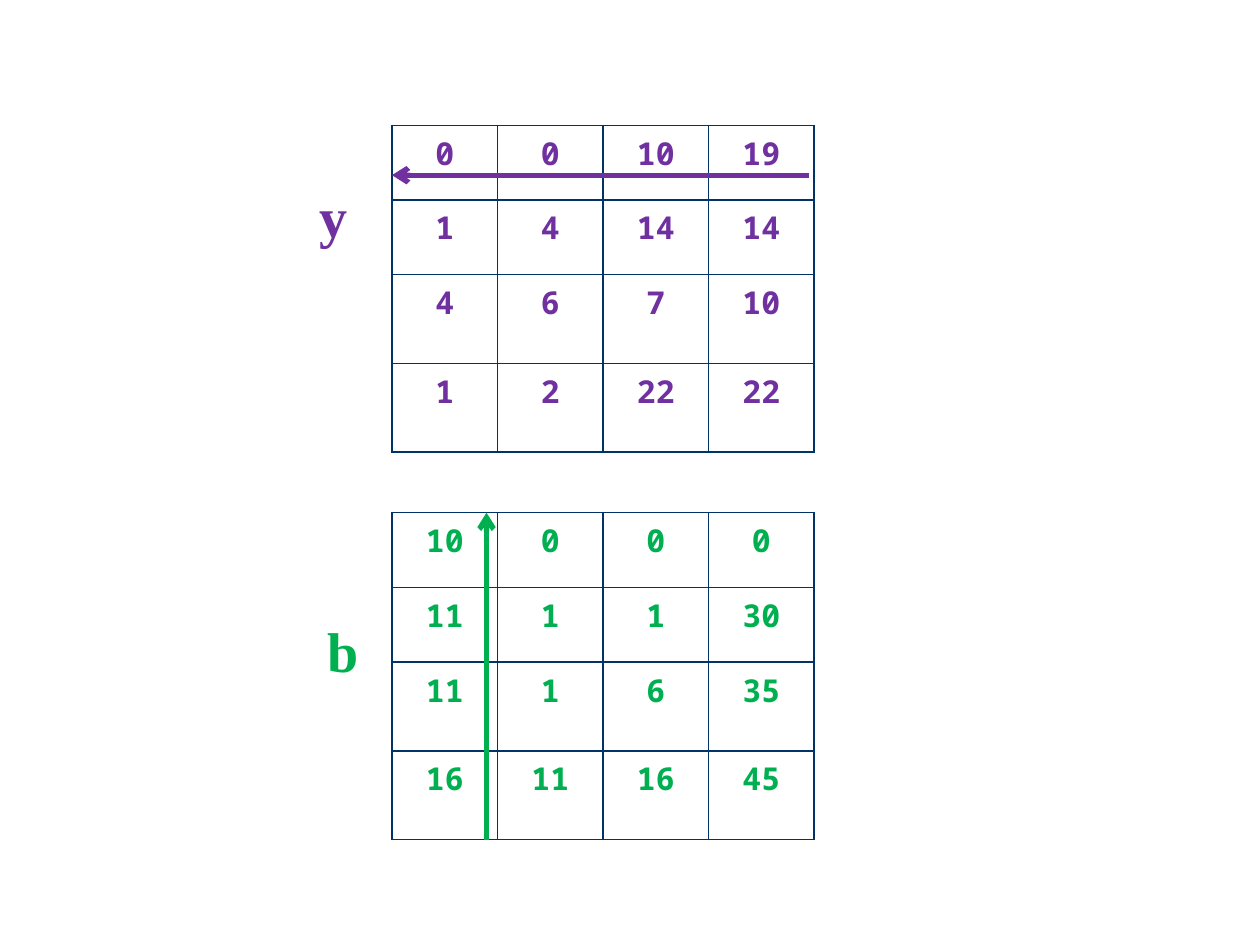
import pptx
import pptx.util
import pptx.dml.color
import pptx.enum.shapes
import pptx.enum.text
import pptx.oxml
import pptx.oxml.ns
from lxml import etree

Pt = pptx.util.Pt
COLORS = {"y": "7030A0", "b": "00B050", "border": "003366", "cell": "FFFFFF"}
COLUMN_WIDTH = 60.3
ROW_HEIGHTS = [42.7, 42.7, 50.7, 50.7]
Y_VALUES = [[0, 0, 10, 19], [1, 4, 14, 14], [4, 6, 7, 10], [1, 2, 22, 22]]
B_VALUES = [[10, 0, 0, 0], [11, 1, 1, 30], [11, 1, 6, 35], [16, 11, 16, 45]]


def rgb(name):
    return pptx.dml.color.RGBColor.from_string(COLORS[name])


def style_font(font, name, size, color):
    font.name = name
    font.size = Pt(size)
    font.bold = True
    font.color.rgb = rgb(color)


def add_borders(cell):
    properties = cell._tc.get_or_add_tcPr()
    for index, side in enumerate(("lnL", "lnR", "lnT", "lnB")):
        properties.insert(index, pptx.oxml.parse_xml(
            f'<a:{side} {pptx.oxml.ns.nsdecls("a")} w="{Pt(1)}"><a:solidFill>'
            f'<a:srgbClr val="{COLORS["border"]}"/></a:solidFill></a:{side}>'))


def add_matrix(page, left, top, values, color):
    rows, columns = len(values), len(values[0])
    table = page.shapes.add_table(
        rows, columns, Pt(left), Pt(top),
        Pt(columns * COLUMN_WIDTH), Pt(sum(ROW_HEIGHTS))).table
    table.first_row = table.horz_banding = False
    for column in table.columns:
        column.width = Pt(COLUMN_WIDTH)
    for row, height, numbers in zip(table.rows, ROW_HEIGHTS, values):
        row.height = Pt(height)
        for cell, number in zip(row.cells, numbers):
            cell.text_frame.text = str(number)
            para = cell.text_frame.paragraphs[0]
            para.alignment = pptx.enum.text.PP_ALIGN.CENTER
            style_font(para.runs[0].font, "Noto Sans Mono", 18, color)
            cell.fill.solid()
            cell.fill.fore_color.rgb = rgb("cell")
            add_borders(cell)


def add_label(page, left, top, width, text, color):
    box = page.shapes.add_textbox(Pt(left), Pt(top), Pt(width), Pt(46))
    frame = box.text_frame
    frame.word_wrap = False
    frame.auto_size = pptx.enum.text.MSO_AUTO_SIZE.SHAPE_TO_FIT_TEXT
    frame.text = text
    style_font(frame.paragraphs[0].runs[0].font, "Times New Roman", 32, color)


def add_arrow(page, start, end, color):
    arrow = page.shapes.add_connector(
        pptx.enum.shapes.MSO_CONNECTOR.STRAIGHT,
        *(Pt(length) for length in (*start, *end)))
    arrow.line.color.rgb = rgb(color)
    arrow.line.width = Pt(3)
    tail = pptx.oxml.ns.qn("a:tailEnd")
    etree.SubElement(arrow.line._get_or_add_ln(), tail, type="arrow")
    etree.SubElement(arrow._element.spPr, pptx.oxml.ns.qn("a:effectLst"))


def add_y_panel(page, left, top):
    add_matrix(page, left, top, Y_VALUES, "y")
    add_label(page, left - 48.3, top + 28.5, 31, "y", "y")
    add_arrow(page, (left + 238.3, top + 28.5), (left, top + 28.5), "y")


def add_b_panel(page, left, top):
    add_matrix(page, left, top, B_VALUES, "b")
    add_label(page, left - 44, top + 55.5, 32.4, "b", "b")
    add_arrow(page, (left + 54, top + sum(ROW_HEIGHTS)), (left + 54, top), "b")


def main():
    deck = pptx.Presentation()
    deck.slide_width, deck.slide_height = Pt(720), Pt(540)
    page = deck.slides.add_slide(deck.slide_layouts[6])
    add_y_panel(page, 224, 71.6)
    add_b_panel(page, 224, 293)
    deck.save("out.pptx")


if __name__ == "__main__":
    main()
